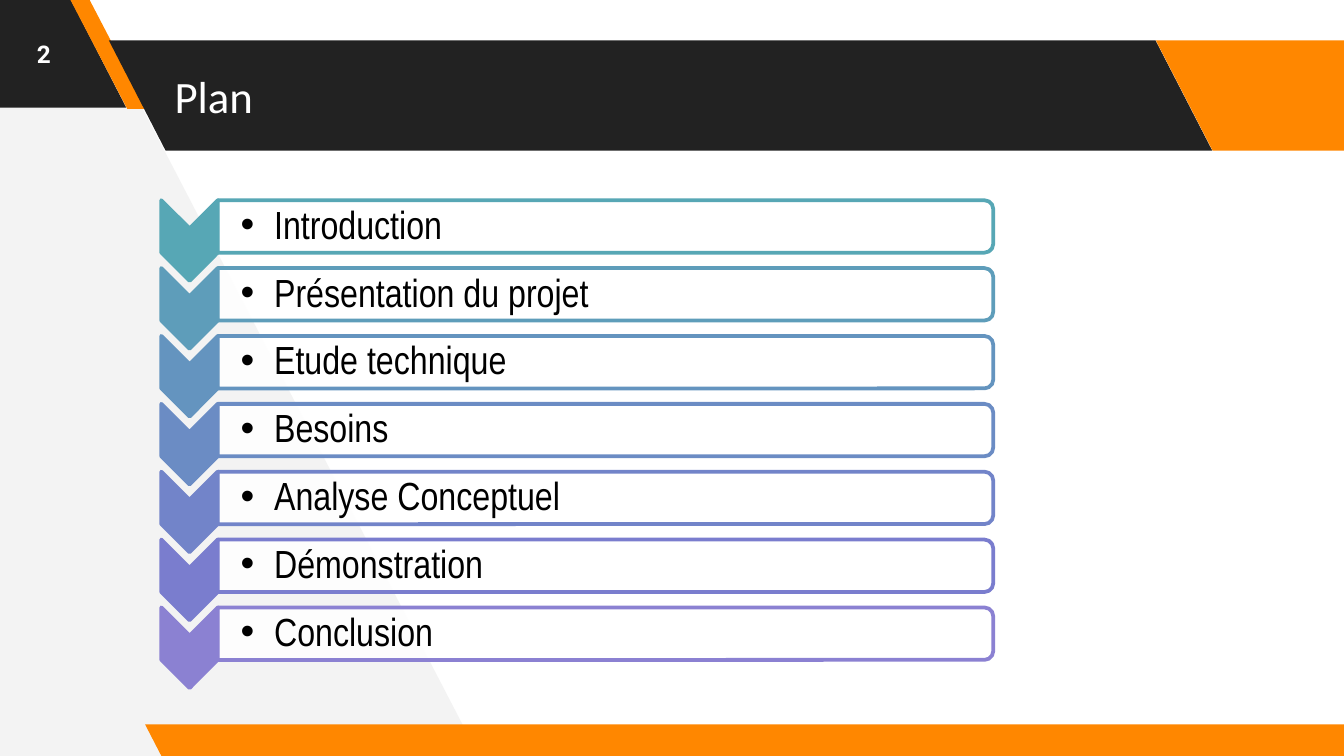
from lxml import etree
from pptx import Presentation
from pptx.dml.color import RGBColor
from pptx.enum.shapes import MSO_SHAPE
from pptx.enum.text import MSO_ANCHOR, PP_ALIGN
from pptx.oxml.ns import qn
from pptx.util import Inches, Pt

SLANT = MSO_SHAPE.PARALLELOGRAM
CHEVRON = MSO_SHAPE.CHEVRON
BAR = MSO_SHAPE.ROUND_2_SAME_RECTANGLE
MIDDLE = MSO_ANCHOR.MIDDLE
LEFT, CENTER = PP_ALIGN.LEFT, PP_ALIGN.CENTER

WIDE = 10
HIGH = WIDE * 9 / 16

DARK, ORANGE, PALE, WHITE, BLACK = "222222", "FF8700", "F3F3F3", "FFFFFF", "000000"

TOPICS = [
    ("Introduction", "57A7B5"),
    ("Présentation du projet", "5E9DBA"),
    ("Etude technique", "6494BF"),
    ("Besoins", "6B8CC4"),
    ("Analyse Conceptuel", "7284C9"),
    ("Démonstration", "7A7DCE"),
    ("Conclusion", "8B81D2"),
]


def color(code):
    return RGBColor.from_string(code)


def paint(shape, fill, line=None):
    shape.shadow.inherit = False
    shape.fill.solid()
    shape.fill.fore_color.rgb = color(fill)
    if line:
        shape.line.color.rgb = color(line)
        shape.line.width = Pt(2)
    else:
        shape.line.fill.background()


def add_slant(shapes, box, fill, adj=0.515):
    """Add a parallelogram that leans to the left."""
    shape = shapes.add_shape(SLANT, *map(Inches, box))
    shape.adjustments[0] = adj
    shape._element.spPr.find(qn("a:xfrm")).set("flipH", "1")
    paint(shape, fill)


def add_turned(shapes, kind, box, fill, line):
    """Add a shape turned by 90 degrees that fills the box as seen."""
    x, y, w, h = box
    shift = (w - h) / 2
    shape = shapes.add_shape(kind, *map(Inches, (x + shift, y - shift, h, w)))
    shape.rotation = 90
    paint(shape, fill, line)
    return shape


def add_text(shapes, box, text, font, size, ink, bold=False, align=LEFT,
             pads=(0.1, 0.1, 0.1, 0.1)):
    """Add one line of text and return its paragraph."""
    frame = shapes.add_textbox(*map(Inches, box)).text_frame
    frame.word_wrap = True
    frame.vertical_anchor = MIDDLE
    (frame.margin_left, frame.margin_top,
     frame.margin_right, frame.margin_bottom) = map(Inches, pads)
    par = frame.paragraphs[0]
    par.alignment = align
    run = par.add_run()
    run.text = text
    run.font.name = font
    run.font.size = Pt(size)
    run.font.bold = bold
    run.font.color.rgb = color(ink)
    return par


def add_bullet(par):
    props = par._p.get_or_add_pPr()
    props.set("marL", str(Inches(0.25)))
    props.set("indent", str(Inches(-0.25)))
    etree.SubElement(props, qn("a:buFont"), typeface="Arial")
    etree.SubElement(props, qn("a:buChar"), char="•")


def draw_side(shapes, box):
    x, y, w, h = box
    pen = shapes.build_freeform(Inches(x + w), Inches(y + h - 0.04))
    pen.add_line_segments([(Inches(a), Inches(b)) for a, b in (
        (x + 0.68, y), (x, y), (x + 0.04, y + h))])
    paint(pen.convert_to_shape(), PALE)


def draw_corner(shapes, box):
    x, y, w, h = box
    add_slant(shapes, (x - 0.99, y - 0.02, 1.93, 0.82), DARK)
    add_slant(shapes, (x + 0.52, y - 0.01, 0.57, 0.82), ORANGE, 0.75)
    add_text(shapes, box, "2", "Roboto", 13, WHITE, True, CENTER)


def draw_header(shapes, box):
    x, y, w, h = box
    add_slant(shapes, (x, y, 8.21, h), DARK)
    add_slant(shapes, (x + w - 1.92, y, 1.92, h), ORANGE)
    add_text(shapes, (x + 0.39, y, 8.28, h), "Plan", "Calibri", 24, WHITE)


def draw_topic(shapes, box, text, hue):
    x, y, w, h = box
    inset = 0.42
    add_turned(shapes, CHEVRON, (x, y, inset, h), hue, hue)
    bar = add_turned(shapes, BAR, (x + inset, y, w - inset, 0.39), WHITE, hue)
    fill = bar._element.spPr.find(qn("a:solidFill"))
    etree.SubElement(fill[0], qn("a:alpha"), val="90000")
    par = add_text(shapes, (x + inset + 0.01, y + 0.02, w - inset - 0.02, 0.35),
                   text, "Arial Narrow", 21, BLACK,
                   pads=(0.16, 0.01, 0.01, 0.01))
    par.line_spacing = 0.9
    add_bullet(par)


def draw_topics(shapes, box):
    x, y, w, h = box
    tall = 0.6
    step = (h - tall) / (len(TOPICS) - 1)
    group = shapes.add_group_shape()
    for i, (text, hue) in enumerate(TOPICS):
        draw_topic(group.shapes, (x, y + i * step, w, tall), text, hue)


def main():
    deck = Presentation()
    deck.slide_width, deck.slide_height = Inches(WIDE), Inches(HIGH)
    shapes = deck.slides.add_slide(deck.slide_layouts[6]).shapes
    draw_side(shapes, (-0.06, -0.04, 3.62, 5.7))
    draw_corner(shapes, (0, 0, 0.65, 0.8))
    draw_header(shapes, (0.81, 0.3, 9.71, 0.82))
    add_slant(shapes, (1.08, 5.39, 9.15, 0.25), ORANGE)
    draw_topics(shapes, (1.2, 1.49, 6.19, 3.63))
    deck.save("out.pptx")


if __name__ == "__main__":
    main()
